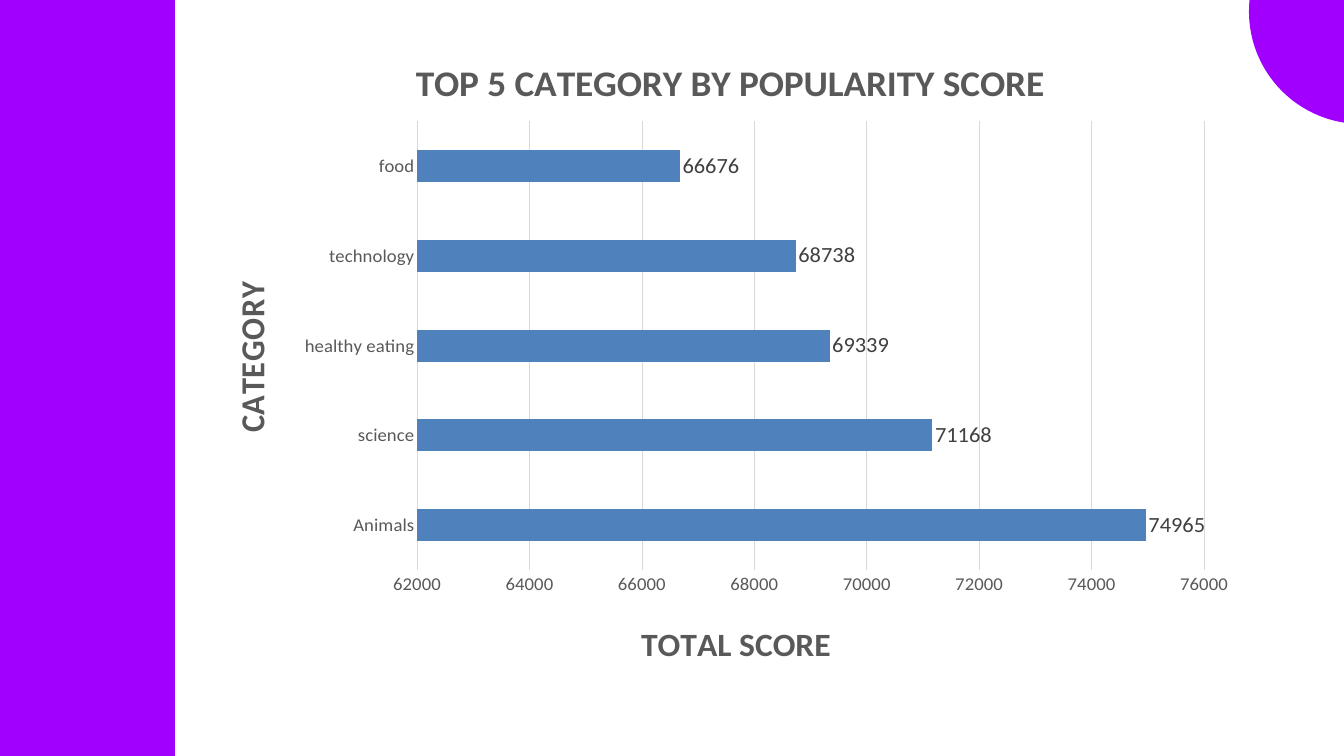
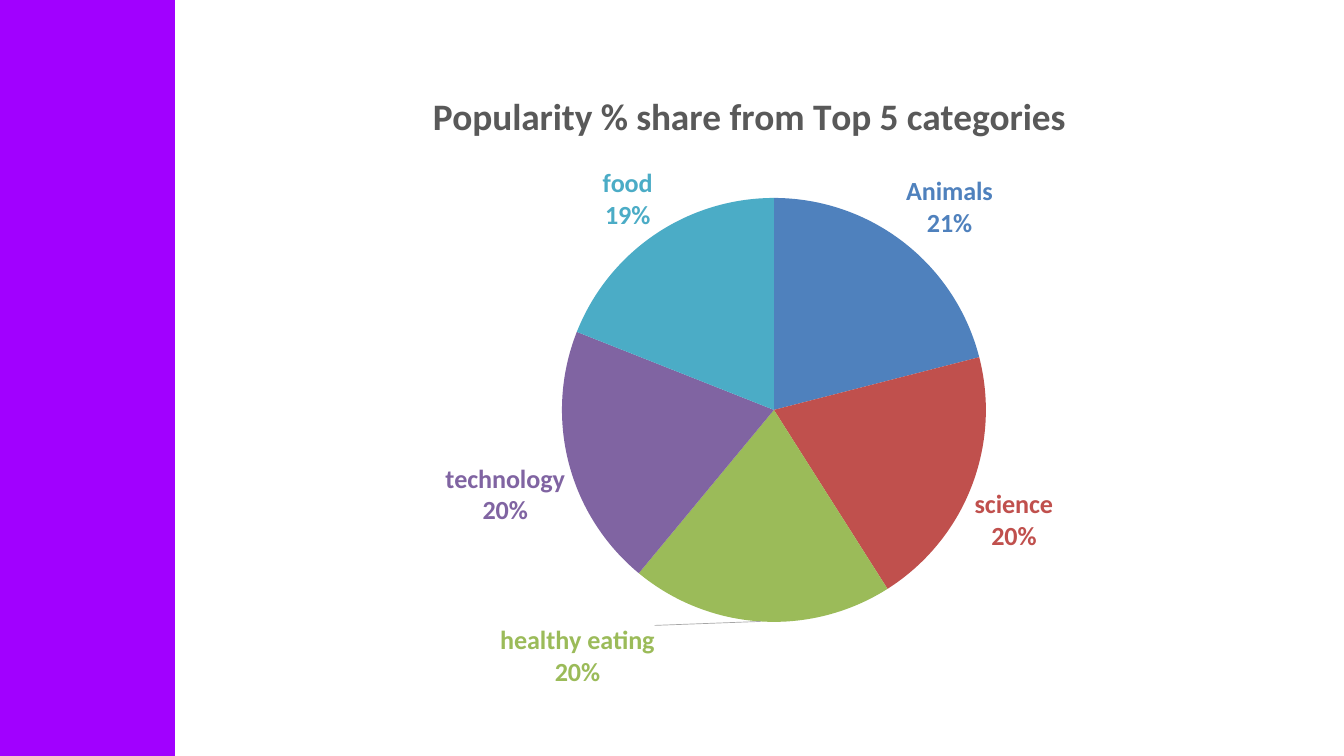
from lxml import etree
from pptx import Presentation, util as u
from pptx.chart.data import CategoryChartData
from pptx.dml.color import RGBColor
from pptx.enum import chart as ch, shapes
from pptx.oxml import parse_xml
from pptx.oxml.ns import nsdecls, qn

PX = 914400 / 67.2
W, H = 1344, 756
PURPLE, WHITE, BLUE = "A100FF", "FFFFFF", "4F81BD"
GREY, DARK_GREY, MID_GREY, PALE_GREY = "595959", "404040", "A6A6A6", "D9D9D9"
SLICES = [BLUE, "C0504D", "9BBB59", "8064A2", "4BACC6"]
CATEGORIES = ["Animals", "science", "healthy eating", "technology", "food"]
SCORES = [74965, 71168, 69339, 68738, 66676]
PERCENTS = [21, 20, 20, 20, 19]
FONT = "Calibri"


def style(target, color, size=None, bold=None):
    """Colour a fill; given a size, treat the target as a font."""
    if size:
        target.name, target.size, target.bold = FONT, u.Pt(size), bold
        target = target.fill
    target.solid()
    target.fore_color.rgb = RGBColor.from_string(color)


def place(parent, index, frame, box, mode="edge"):
    """Lay out a chart part at box, in px from the chart's top left corner."""
    for old in parent.findall(qn("c:layout")):
        parent.remove(old)
    layout = etree.Element(qn("c:layout"))
    parent.insert(index, layout)
    manual = etree.SubElement(layout, qn("c:manualLayout"))
    if len(box) == 4:
        etree.SubElement(manual, qn("c:layoutTarget")).set("val", "inner")
    for axis in "xy":
        etree.SubElement(manual, qn(f"c:{axis}Mode")).set("val", mode)
    for key, length, whole in zip("xywh", box, frame[2:] * 2):
        etree.SubElement(manual, qn(f"c:{key}")).set("val", f"{length / whole:.4f}")


prs = Presentation()
prs.slide_width, prs.slide_height = round(W * PX), round(H * PX)

# Both slides: purple band, one chart with a title
pages = [
    (ch.XL_CHART_TYPE.BAR_CLUSTERED, SCORES, (211, 42, 1038, 633), (206, 82, 787, 465),
     "TOP 5 CATEGORY BY POPULARITY SCORE", (198, 10),
     [("oval", (1249, -101, 225, 225))]),
    (ch.XL_CHART_TYPE.PIE, PERCENTS, (190, 75, 1118, 622), (372, 123, 424, 424),
     "Popularity % share from Top 5 categories", (236, 9), []),
]
charts = []
for kind, numbers, frame, plot_box, heading, heading_at, extras in pages:
    s = prs.slides.add_slide(prs.slide_layouts[6])
    style(s.background.fill, WHITE)
    for preset, box in [("rectangle", (0, 0, 175, H))] + extras:
        sp = s.shapes.add_shape(shapes.MSO_SHAPE[preset.upper()],
                                *[round(v * PX) for v in box])
        sp.shadow.inherit = False
        style(sp.fill, PURPLE)
        sp.line.fill.background()

    data = CategoryChartData()
    data.categories = CATEGORIES
    data.add_series("Series 1", numbers)
    chart = s.shapes.add_chart(kind, *[round(v * PX) for v in frame], data).chart
    chart.font.name, chart.font.size = FONT, u.Pt(10)
    chart.has_legend = False
    chart.plots[0].vary_by_categories = kind == ch.XL_CHART_TYPE.PIE
    chart.has_title = True
    titles = [(chart.chart_title, heading, 40, heading_at)]
    if kind == ch.XL_CHART_TYPE.BAR_CLUSTERED:
        titles += [(chart.category_axis.axis_title, "CATEGORY", 36, (11, 247)),
                   (chart.value_axis.axis_title, "TOTAL SCORE", 36, (424, 594))]
    for title, words, size, at in titles:
        p = title.text_frame.paragraphs[0]
        p.text = words
        style(p.font, GREY, size, True)
        place(title._element, 1, frame, at)
    place(chart._chartSpace.chart.plotArea, 0, frame, plot_box)
    charts.append(chart)
bar, pie = charts

# Bar chart
for axis in (bar.category_axis, bar.value_axis):
    axis.major_tick_mark = axis.minor_tick_mark = ch.XL_TICK_MARK.NONE
    style(axis.tick_labels.font, GREY, 20)
style(bar.category_axis.format.line.fill, PALE_GREY)
bar.category_axis.format.line.width = u.Pt(0.75)
values = bar.value_axis
values.minimum_scale, values.maximum_scale, values.major_unit = 62000, 76000, 2000
values.format.line.fill.background()
style(values.major_gridlines.format.line.fill, PALE_GREY)
values.major_gridlines.format.line.width = u.Pt(0.75)
bar.plots[0].gap_width = 182
bars = bar.plots[0].series[0]
style(bars.format.fill, BLUE)
bars.data_labels.show_value = True
bars.data_labels.position = ch.XL_LABEL_POSITION.OUTSIDE_END
style(bars.data_labels.font, DARK_GREY, 24)

# Pie chart: each label takes the colour of its slice
shares = pie.plots[0].series[0]
labels = shares.data_labels
labels.show_value = False
labels.show_percentage = labels.show_category_name = True
labels.position = ch.XL_LABEL_POSITION.OUTSIDE_END
style(labels.font, BLUE, 28, True)
for i, color in enumerate(SLICES):
    point = shares.points[i]
    style(point.format.fill, color)
    style(point.data_label.font, color, 28, True)
    point.data_label.position = ch.XL_LABEL_POSITION.OUTSIDE_END
for label in shares._element.iter(qn("c:dLbl")):
    for flag, shown in (("Val", "0"), ("CatName", "1"), ("Percent", "1")):
        label.find(qn(f"c:show{flag}")).set("val", shown)
    separator = etree.SubElement(label, qn("c:separator"))
    separator.text = "\n"
    if label.find(qn("c:idx")).get("val") == "2":
        place(label, 1, pages[1][2], (-183, 0), "factor")
all_labels = labels._element
for old in all_labels.findall(qn("c:showLeaderLines")):
    all_labels.remove(old)
etree.SubElement(all_labels, qn("c:showLeaderLines")).set("val", "1")
all_labels.append(parse_xml(
    f'<c:leaderLines {nsdecls("c", "a")}><c:spPr><a:ln w="9525"><a:solidFill>'
    f'<a:srgbClr val="{MID_GREY}"/></a:solidFill></a:ln></c:spPr></c:leaderLines>'))

prs.save("out.pptx")
